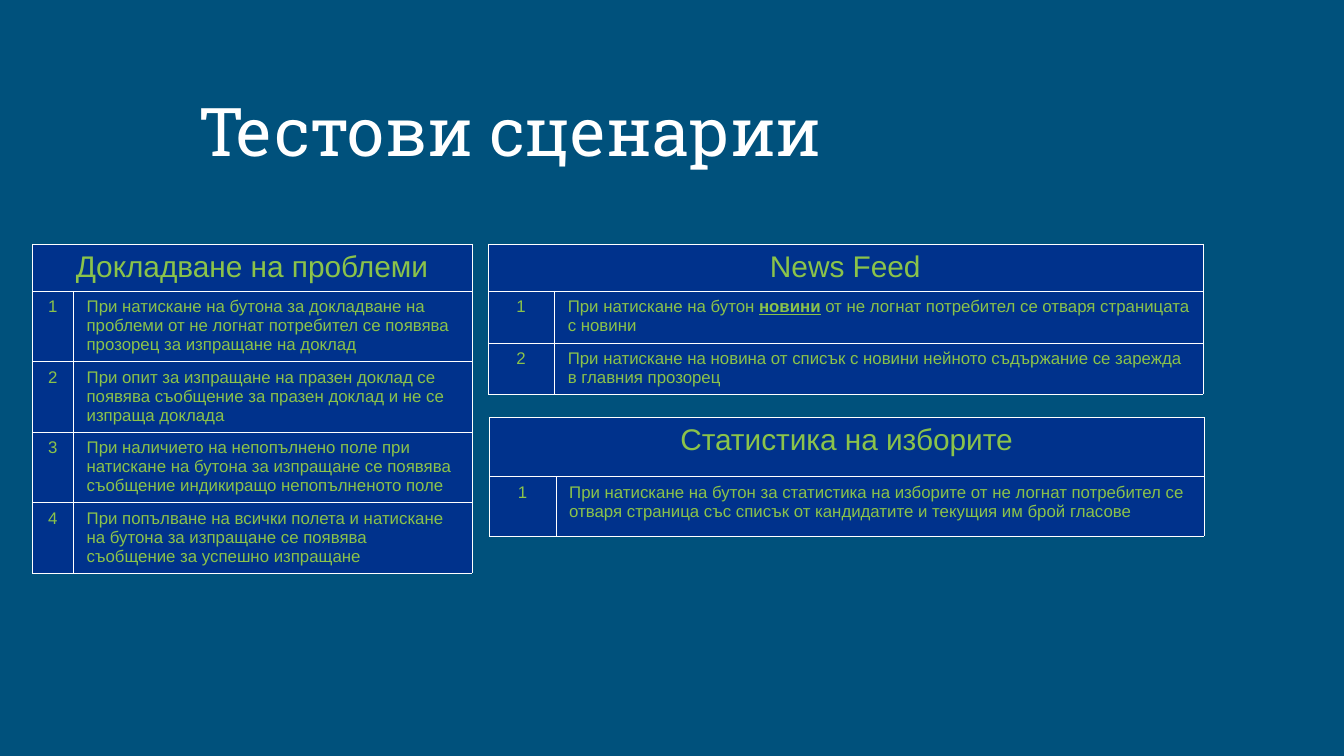
from lxml.etree import SubElement
from pptx import Presentation
from pptx.dml.color import RGBColor
from pptx.enum.text import MSO_ANCHOR, MSO_AUTO_SIZE, PP_ALIGN
from pptx.oxml.ns import qn
from pptx.util import Pt

EMU_PER_PX = 4572  # 200 px to the inch
BACKGROUND = RGBColor(0x00, 0x51, 0x7C)
CELL_BLUE = RGBColor(0x00, 0x32, 0x8C)
GREEN = RGBColor(0x8B, 0xC3, 0x4A)
WHITE = RGBColor(0xFF, 0xFF, 0xFF)
BORDER_WIDTH = Pt(0.06)

PROBLEM_REPORTS = [
    "При натискане на бутона за докладване на проблеми от не логнат потребител се появява прозорец за изпращане на доклад",
    "При опит за изпращане на празен доклад се появява съобщение за празен доклад и не се изпраща доклада",
    "При наличието на непопълнено поле при натискане на бутона за изпращане се появява съобщение индикиращо непопълненото поле",
    "При попълване на всички полета и натискане на бутона за изпращане се появява съобщение за успешно изпращане",
]
# A scenario may be a list of pieces; every second piece is emphasised.
NEWS_FEED = [
    ["При натискане на бутон ", "новини", " от не логнат потребител се отваря страницата с новини"],
    "При натискане на новина от списък с новини нейното съдържание се зарежда в главния прозорец",
]
ELECTION_STATISTICS = [
    "При натискане на бутон за статистика на изборите от не логнат потребител се отваря страница със списък от кандидатите и текущия им брой гласове",
]


def px(length):
    return length * EMU_PER_PX


def write_text(paragraph, text, size=9, font="Arial", color=GREEN,
               align=PP_ALIGN.LEFT):
    """Write a string, or pieces of which every second one is emphasised."""
    paragraph.alignment = align
    pieces = [text] if isinstance(text, str) else text
    for index, piece in enumerate(pieces):
        run = paragraph.add_run()
        run.text = piece
        run.font.size = Pt(size)
        run.font.name = font
        run.font.color.rgb = color
        run.font.bold = run.font.underline = index % 2 == 1


def add_title(slide, text):
    title = slide.shapes.title
    title.left, title.top, title.width, title.height = map(px, (55, 113, 1408, 326))
    frame = title.text_frame
    frame.auto_size = MSO_AUTO_SIZE.NONE
    frame.vertical_anchor = MSO_ANCHOR.TOP
    frame.margin_left = frame.margin_right = px(20)
    frame.margin_top = frame.margin_bottom = px(20)
    write_text(frame.paragraphs[0], text, size=36, font="Roboto Slab",
               color=WHITE, align=PP_ALIGN.CENTER)


def style_cell(cell):
    """Give the cell thin white borders and a blue fill."""
    properties = cell._tc.get_or_add_tcPr()
    for side in ("a:lnL", "a:lnR", "a:lnT", "a:lnB"):
        line = SubElement(properties, qn(side), w=str(BORDER_WIDTH))
        fill = SubElement(line, qn("a:solidFill"))
        SubElement(fill, qn("a:srgbClr"), val=str(WHITE))
    cell.fill.solid()
    cell.fill.fore_color.rgb = CELL_BLUE


def add_scenario_table(slide, heading, scenarios, left, top, column_widths,
                       heading_height, row_height):
    """Add a table with a merged heading above numbered scenarios."""
    row_heights = [heading_height] + [row_height] * len(scenarios)
    table = slide.shapes.add_table(
        len(row_heights), len(column_widths), px(left), px(top),
        px(sum(column_widths)), px(sum(row_heights))).table
    table.first_row = table.horz_banding = False
    for column, width in zip(table.columns, column_widths):
        column.width = px(width)
    for row, height in zip(table.rows, row_heights):
        row.height = px(height)
    for cell in table.iter_cells():
        style_cell(cell)

    table.cell(0, 0).merge(table.cell(0, 1))
    write_text(table.cell(0, 0).text_frame.paragraphs[0], heading, size=16,
               align=PP_ALIGN.CENTER)
    for number, scenario in enumerate(scenarios, start=1):
        write_text(table.cell(number, 0).text_frame.paragraphs[0], str(number),
                   align=PP_ALIGN.CENTER)
        write_text(table.cell(number, 1).text_frame.paragraphs[0], scenario)


def main():
    presentation = Presentation()
    presentation.slide_width = px(2000)
    presentation.slide_height = px(1125)
    slide = presentation.slides.add_slide(presentation.slide_layouts[5])
    slide.background.fill.solid()
    slide.background.fill.fore_color.rgb = BACKGROUND

    add_title(slide, "Тестови сценарии")
    add_scenario_table(slide, "Докладване на проблеми", PROBLEM_REPORTS,
                       48, 363, (61, 593), 70, 105)
    add_scenario_table(slide, "News Feed", NEWS_FEED,
                       726, 363, (99, 965), 70, 77)
    add_scenario_table(slide, "Статистика на изборите", ELECTION_STATISTICS,
                       728, 621, (99, 965), 88, 89)
    presentation.save("out.pptx")


if __name__ == "__main__":
    main()
